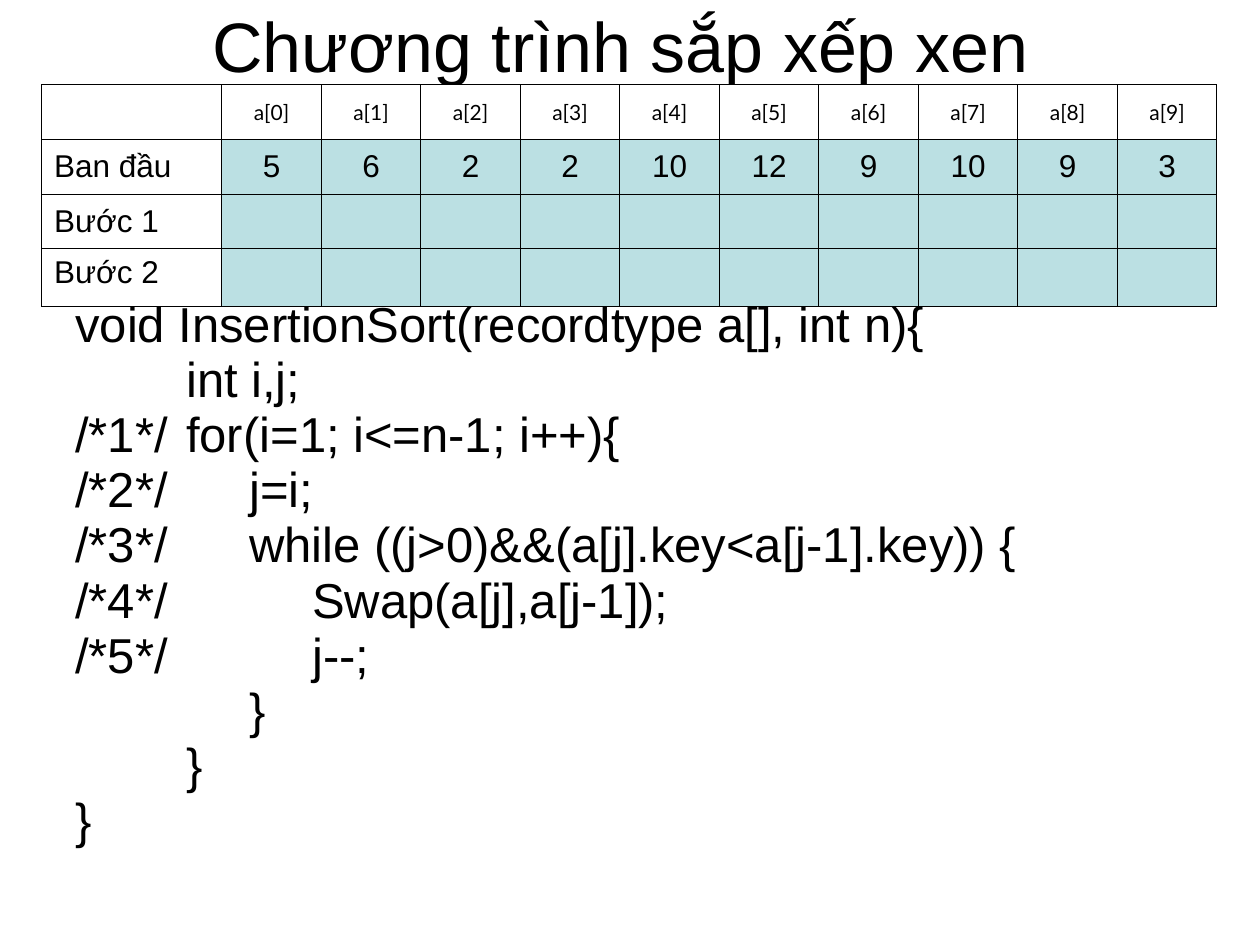
import pptx
import pptx.util
import pptx.dml.color
import pptx.enum.text
from lxml import etree
from pptx.oxml.ns import qn

Inches, Pt = pptx.util.Inches, pptx.util.Pt
ALIGN, ANCHOR = pptx.enum.text.PP_ALIGN, pptx.enum.text.MSO_ANCHOR

# Content
TITLE = "Chương trình sắp xếp xen "
CODE = [
    "void InsertionSort(recordtype a[], int n){",
    "  \t\tint i,j;",
    "/*1*/\tfor(i=1; i<=n-1; i++){",
    "/*2*/     \tj=i;",
    "/*3*/     \twhile ((j>0)&&(a[j].key<a[j-1].key)) {",
    "/*4*/\t \t\tSwap(a[j],a[j-1]);",
    "/*5*/\t \t\tj--;",
    "     \t\t}",
    "  \t\t}",
    "}",
]
START = [5, 6, 2, 2, 10, 12, 9, 10, 9, 3]
BLANK = [""] * len(START)
ROWS = [
    ["", *(f"a[{i}]" for i in range(len(START)))],
    ["Ban đầu", *START],
    ["Bước 1 ", *BLANK],
    ["Bước 2 ", *BLANK],
]
WIDTHS = [1.43] + [0.79] * len(START)
HEIGHTS = [0.44, 0.43, 0.43, 0.46]
BLACK, TEAL = "000000", "BBE0E3"


def paint(fmt, color):
    fmt.solid()
    fmt.fore_color.rgb = pptx.dml.color.RGBColor.from_string(color)


def write(par, text, size, face="Arial"):
    run = par.add_run()
    run.text = text
    run.font.size, run.font.name = Pt(size), face
    paint(run.font.fill, BLACK)


def indent(par, left):
    """Hanging indent with a tab stop at every inch."""
    props = par._p.get_or_add_pPr()
    props.set("marL", str(Inches(left)))
    props.set("indent", str(-Inches(left)))
    tabs = etree.SubElement(props, qn("a:tabLst"))
    for i in range(8):
        etree.SubElement(tabs, qn("a:tab"), pos=str(Inches(i)), algn="l")


def border(cell):
    props = cell._tc.get_or_add_tcPr()
    for i, side in enumerate(("lnL", "lnR", "lnT", "lnB")):
        line = etree.Element(qn(f"a:{side}"), w=str(Pt(0.45)))
        fill = etree.SubElement(line, qn("a:solidFill"))
        etree.SubElement(fill, qn("a:srgbClr"), val=BLACK)
        props.insert(i, line)


deck = pptx.Presentation()
deck.slide_width, deck.slide_height = Inches(10), Inches(7.5)
slide = deck.slides.add_slide(deck.slide_layouts[5])

# Title
title = slide.shapes.title
title.left, title.top = Inches(0.5), Inches(0.17)
title.width, title.height = Inches(9), Inches(0.37)
title.text_frame.vertical_anchor = ANCHOR.MIDDLE
title.text_frame.auto_size = pptx.enum.text.MSO_AUTO_SIZE.NONE
head = title.text_frame.paragraphs[0]
head.alignment = ALIGN.CENTER
write(head, TITLE, 40)

# Code listing
box = slide.shapes.add_textbox(Inches(0.5), Inches(2.33), Inches(9.17), Inches(4.67))
frame = box.text_frame
frame.word_wrap = True
for i, line in enumerate(CODE):
    par = frame.paragraphs[0] if i == 0 else frame.add_paragraph()
    indent(par, 0.38)
    par.line_spacing = 0.9
    if i:
        par.space_before = Pt(1.3)
    write(par, line, 28)

# Sorting table
table = slide.shapes.add_table(
    len(ROWS), len(WIDTHS), Inches(0.33), Inches(0.67),
    Inches(sum(WIDTHS)), Inches(sum(HEIGHTS))).table
table.first_row = table.horz_banding = False
for col, width in zip(table.columns, WIDTHS):
    col.width = Inches(width)
for r, (row, height) in enumerate(zip(ROWS, HEIGHTS)):
    table.rows[r].height = Inches(height)
    for c, value in enumerate(row):
        cell = table.cell(r, c)
        cell.vertical_anchor = ANCHOR.MIDDLE
        paint(cell.fill, TEAL if r and c else "FFFFFF")
        border(cell)
        par = cell.text_frame.paragraphs[0]
        par.alignment = ALIGN.CENTER if c else ALIGN.JUSTIFY
        if r == len(ROWS) - 1 and c == 0:
            par.line_spacing = 0.6
        if value != "":
            write(par, str(value), 18 if r else 12, "Arial" if r else "Lato")

deck.save("out.pptx")
